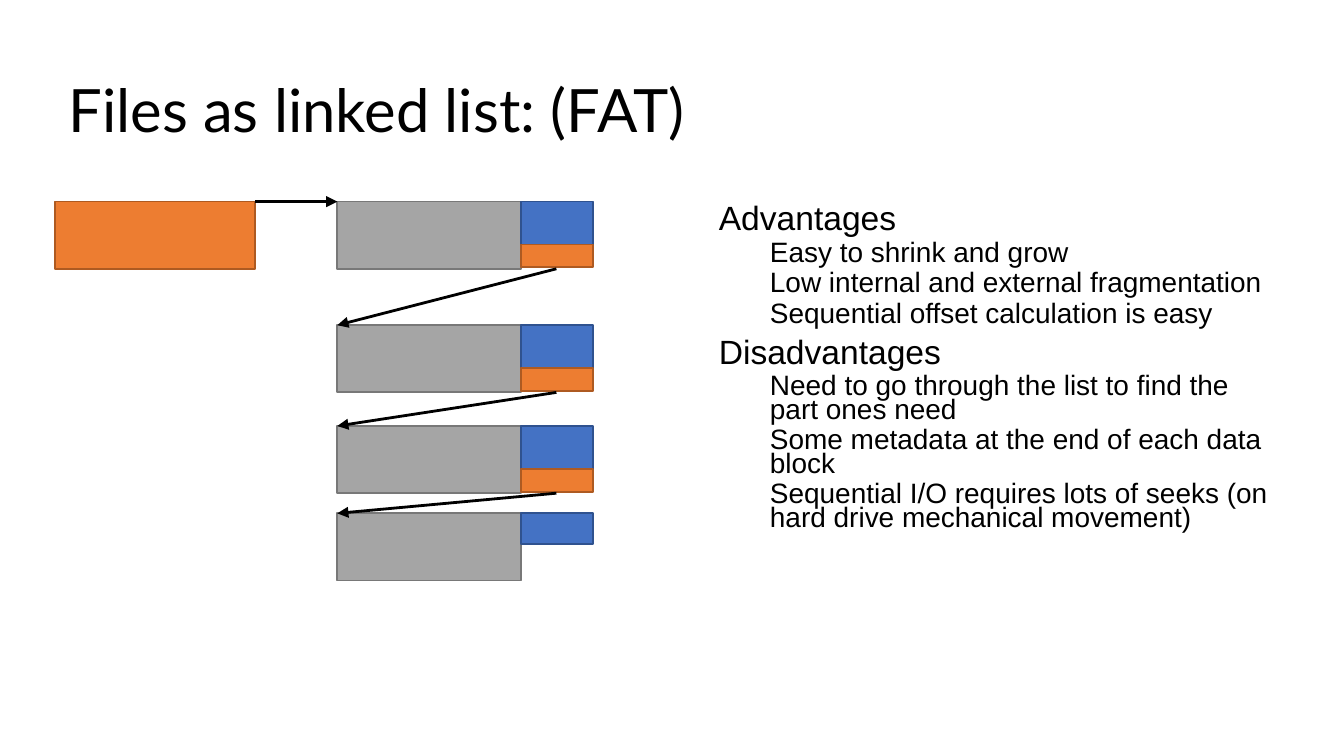
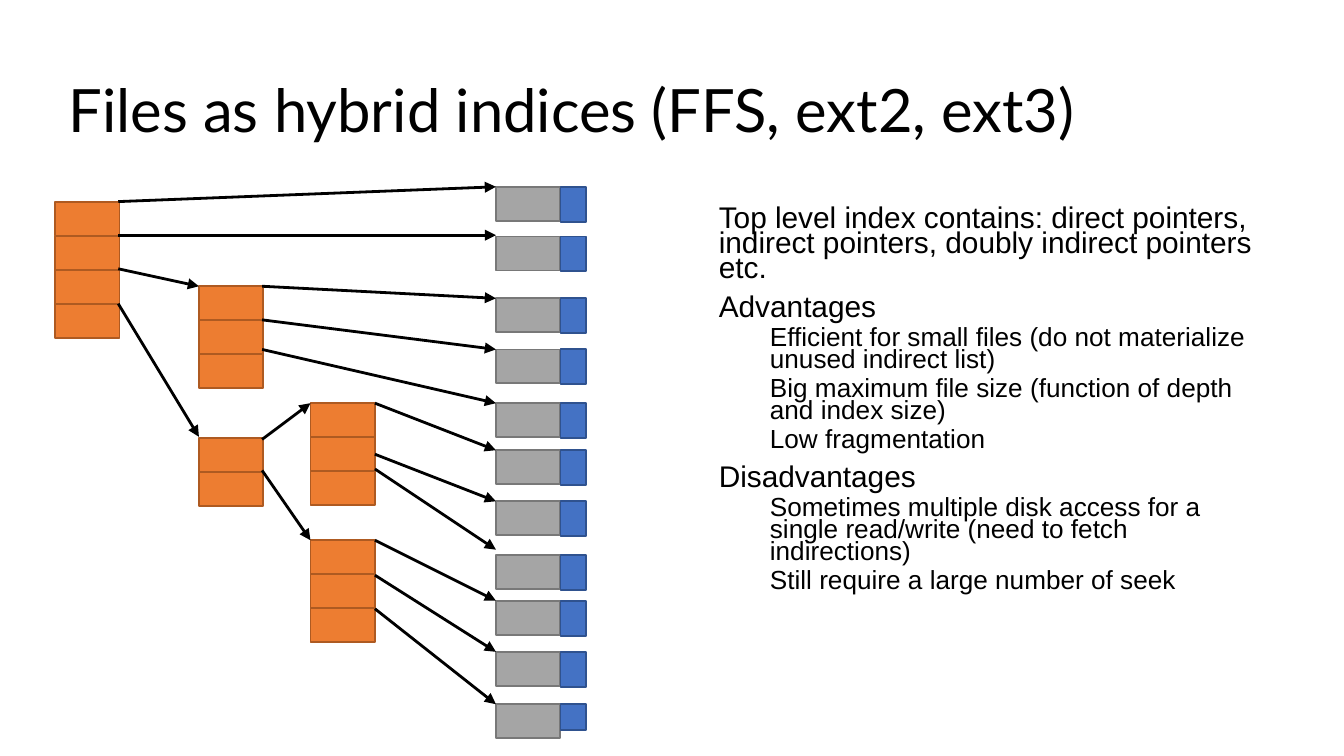
from lxml import etree
from pptx import Presentation
from pptx.dml.color import RGBColor
from pptx.enum.shapes import MSO_CONNECTOR, MSO_SHAPE
from pptx.enum.text import MSO_ANCHOR, MSO_AUTO_SIZE, PP_ALIGN
from pptx.oxml.ns import qn
from pptx.util import Inches, Pt

LINE = MSO_CONNECTOR.STRAIGHT
RECT = MSO_SHAPE.RECTANGLE
LEFT = PP_ALIGN.LEFT
MID, TOP = MSO_ANCHOR.MIDDLE, MSO_ANCHOR.TOP
FIXED = MSO_AUTO_SIZE.NONE

# Theme: colours as (fill, outline), type, and paragraph formats by level
THEME = {
    "ink": RGBColor.from_string("000000"),
    "index": ("ED7D31", "AE5A21"),
    "block": ("A5A5A5", "787878"),
    "meta": ("4472C4", "2F528F"),
    "edge": Pt(1),
    "arrow": Pt(1.5),
    "title": {"name": "Lato", "size": Pt(32)},
    "body": "Arial",
    "para": [
        {"line_spacing": 0.7, "space_before": Pt(7.5)},
        {"line_spacing": 0.7, "space_before": Pt(3.7)},
    ],
    "indent": [Inches(0.19), Inches(0.57)],
}


def box(slide, kind, x, y, w, h):
    fill, edge = THEME[kind]
    shape = slide.shapes.add_shape(RECT, Inches(x), Inches(y), Inches(w), Inches(h))
    shape.shadow.inherit = False
    shape.fill.solid()
    shape.fill.fore_color.rgb = RGBColor.from_string(fill)
    shape.line.color.rgb = RGBColor.from_string(edge)
    shape.line.width = THEME["edge"]


def arrow(slide, x1, y1, x2, y2):
    link = slide.shapes.add_connector(LINE, Inches(x1), Inches(y1), Inches(x2), Inches(y2))
    link.line.color.rgb = THEME["ink"]
    link.line.width = THEME["arrow"]
    etree.SubElement(link.line._get_or_add_ln(), qn("a:tailEnd"), type="triangle")
    etree.SubElement(link._element.spPr, qn("a:effectLst"))


# Titles, type sizes by level, and body text as (level, text)
PAGES = [
    ("Files as linked list: (FAT)", (18, 15), [
        (0, "Advantages"),
        (1, "Easy to shrink and grow"),
        (1, "Low internal and external fragmentation"),
        (1, "Sequential offset calculation is easy"),
        (0, "Disadvantages"),
        (1, "Need to go through the list to find the part ones need"),
        (1, "Some metadata at the end of each data block"),
        (1, "Sequential I/O requires lots of seeks (on hard drive mechanical movement)"),
    ]),
    ("Files as hybrid indices (FFS, ext2, ext3)", (16, 14), [
        (0, "Top level index contains: direct pointers, indirect pointers, "
            "doubly indirect pointers etc."),
        (0, "Advantages"),
        (1, "Efficient for small files (do not materialize unused indirect list)"),
        (1, "Big maximum file size (function of depth and index size)"),
        (1, "Low fragmentation"),
        (0, "Disadvantages"),
        (1, "Sometimes multiple disk access for a single read/write "
            "(need to fetch indirections)"),
        (1, "Still require a large number of seek"),
    ]),
]

# Slides are 16:9
deck = Presentation()
deck.slide_width = Inches(10)
deck.slide_height = Inches(10 * 9 / 16)

for name, sizes, lines in PAGES:
    slide = deck.slides.add_slide(deck.slide_layouts[5])

    # Title
    title = slide.shapes.title
    title.left, title.top = Inches(0.41), Inches(0.3)
    title.width, title.height = Inches(9.19), Inches(1.09)
    frame = title.text_frame
    frame.text = name
    for key, val in {"vertical_anchor": MID, "auto_size": FIXED, "word_wrap": True}.items():
        setattr(frame, key, val)
    para = frame.paragraphs[0]
    para.alignment, para.line_spacing = LEFT, 0.9
    para.font.color.rgb = THEME["ink"]
    for key, val in THEME["title"].items():
        setattr(para.font, key, val)

    # Body text
    frame = slide.shapes.add_textbox(
        Inches(5.06), Inches(1.5), Inches(4.52), Inches(3.16)).text_frame
    for key, val in {"vertical_anchor": TOP, "auto_size": FIXED, "word_wrap": True}.items():
        setattr(frame, key, val)
    for num, (level, text) in enumerate(lines):
        para = frame.add_paragraph() if num else frame.paragraphs[0]
        para.text, para.level = text, level
        for key, val in THEME["para"][level].items():
            setattr(para, key, val)
        para._p.get_or_add_pPr().set("marL", str(THEME["indent"][level]))
        for key, val in {"name": THEME["body"], "size": Pt(sizes[level])}.items():
            setattr(para.font, key, val)
        para.font.color.rgb = THEME["ink"]
    frame.paragraphs[0].space_before = Pt(0)

chain, tree = deck.slides

# Linked list: file entry, then data blocks that each point to the next
tops = [1.5, 2.42, 3.17, 3.82]
high = 0.5
box(chain, "index", 0.41, tops[0], 1.49, high)
for top in tops:
    last = top == tops[-1]
    box(chain, "block", 2.51, top, 1.37, high)
    box(chain, "meta", 3.88, top, 0.53, 0.23 if last else 0.33)
    if not last:
        box(chain, "index", 3.88, top + 0.32, 0.53, 0.17)
arrow(chain, 1.9, tops[0], 2.51, tops[0])
for top, below in zip(tops, tops[1:]):
    arrow(chain, 4.14, top + high, 2.51, below)

# Hybrid index: tables as (left, top, rows)
wide, step = 0.48, 0.76 / 3
for left, top, rows in [(0.41, 1.5, 4), (1.48, 2.13, 3), (1.48, 3.26, 2),
                        (2.31, 3, 3), (2.31, 4.02, 3)]:
    for row in range(rows):
        box(tree, "index", left, top + row * step, wide, step)

# Data blocks, the last one with less metadata
tops = [1.39, 1.76, 2.22, 2.6, 3, 3.35, 3.73, 4.13, 4.47, 4.85, 5.24]
for top in tops:
    box(tree, "block", 3.69, top, wide, step)
    box(tree, "meta", 4.17, top, 0.19, 0.19 if top == tops[-1] else 0.26)

# Pointers, grouped by the columns they join
LINKS = [
    (0.88, 1.48, [(2, 2.13), (2.26, 3.25)]),
    (0.88, 3.69, [(1.5, 1.39), (1.75, 1.75)]),
    (1.95, 2.31, [(3.27, 3), (3.5, 4.02)]),
    (1.95, 3.69, [(2.13, 2.22), (2.38, 2.6), (2.6, 3)]),
    (2.79, 3.69, [(3, 3.35), (3.38, 3.73), (3.49, 4.09),
                  (4.02, 4.47), (4.28, 4.85), (4.53, 5.24)]),
]
for start, end, pairs in LINKS:
    for high, low in pairs:
        arrow(tree, start, high, end, low)

deck.save("out.pptx")
